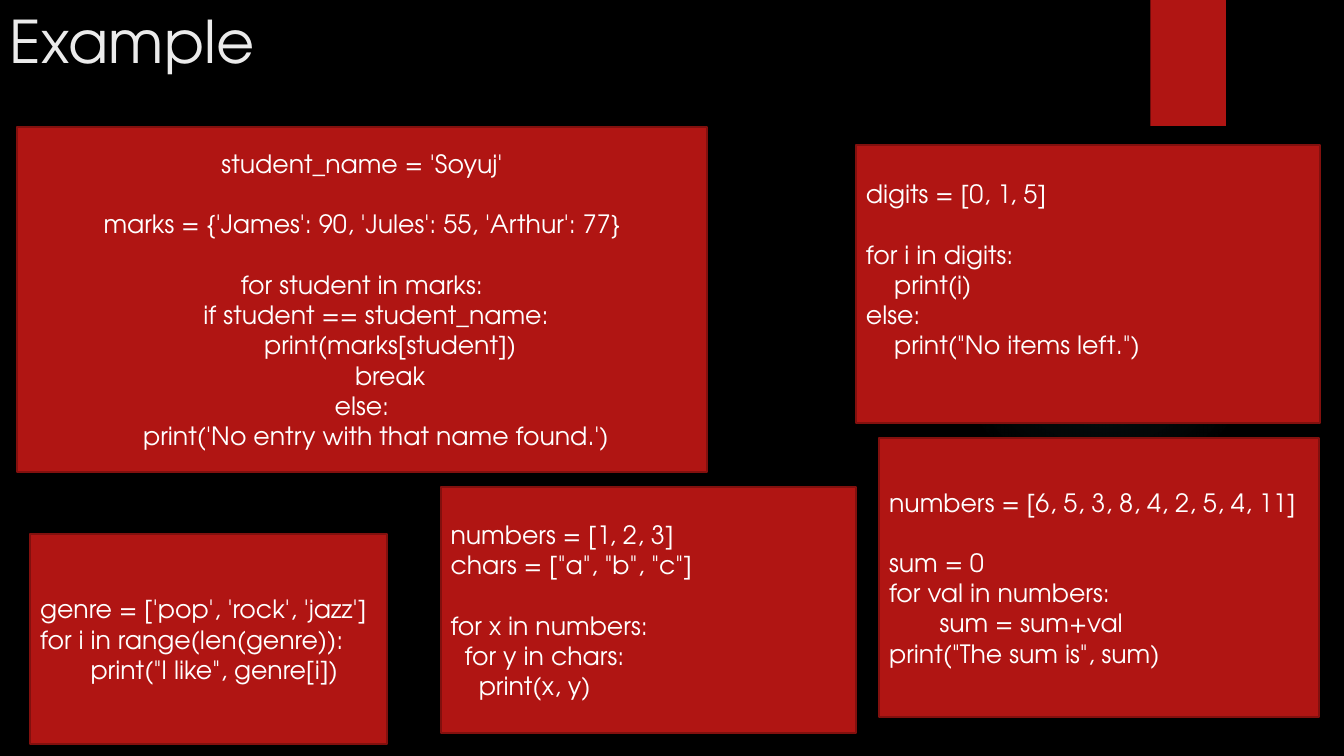
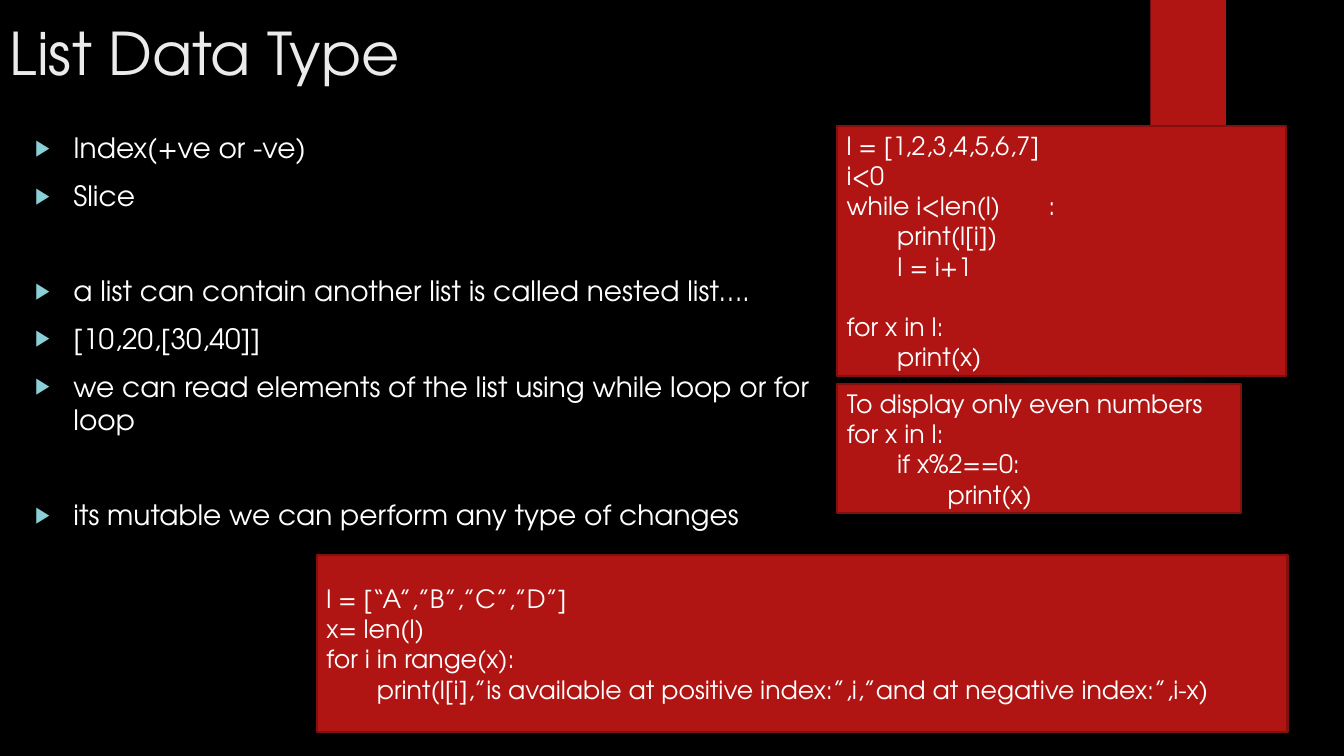
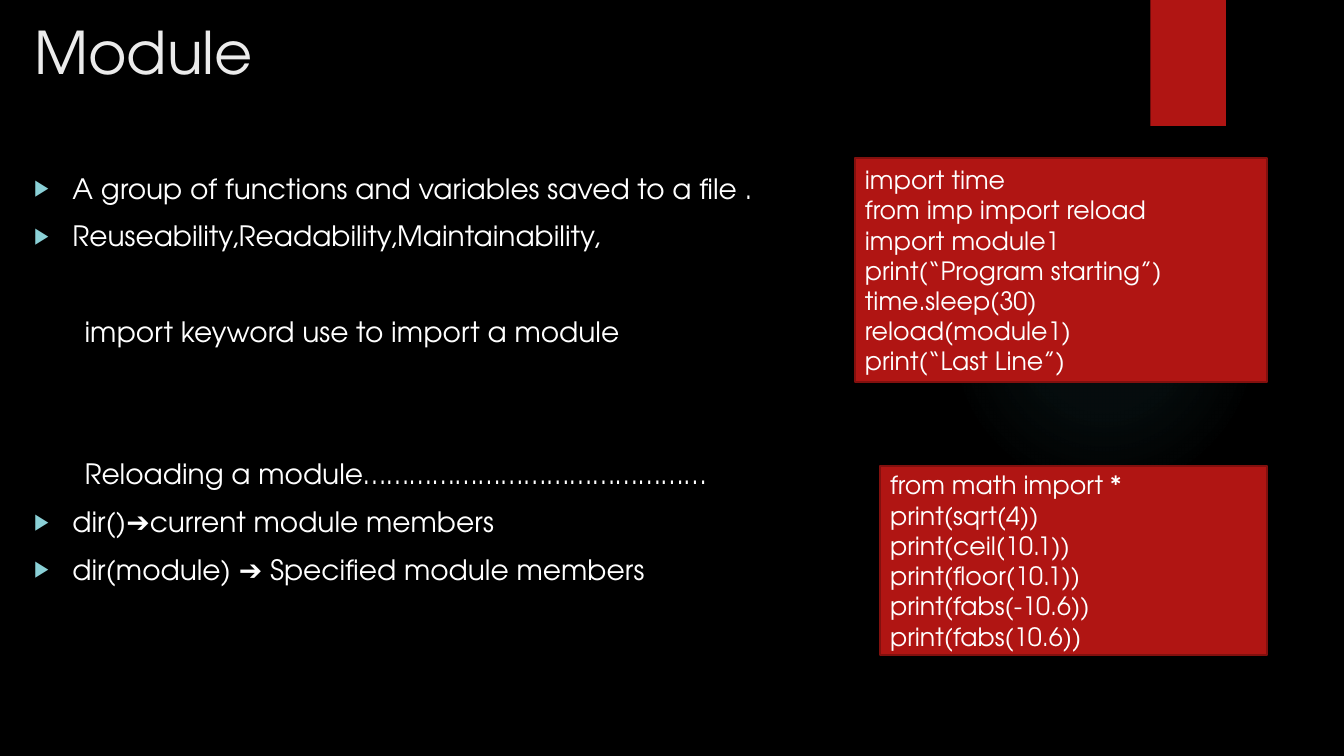
from lxml.etree import SubElement
from pptx import Presentation
from pptx.dml.color import RGBColor
from pptx.enum.shapes import MSO_SHAPE
from pptx.enum.text import MSO_ANCHOR, PP_ALIGN
from pptx.oxml import parse_xml
from pptx.oxml.ns import nsdecls, qn
from pptx.util import Inches, Pt

FONT = "TeX Gyre Adventor"
BLACK = RGBColor(0x00, 0x00, 0x00)
WHITE = RGBColor(0xFF, 0xFF, 0xFF)
TITLE_GREY = RGBColor(0xEB, 0xEB, 0xEB)
RED = RGBColor(0xB0, 0x15, 0x13)
DARK_RED = RGBColor(0x82, 0x10, 0x0E)
TEAL = RGBColor(0x50, 0xB9, 0xC1)
BULLET_TEAL = RGBColor(0x8A, 0xD0, 0xD6)

TITLE_SIZE, BODY_SIZE, CODE_SIZE = 42, 20, 18
LINE_PITCH = 1.2
TAB_WIDTH, SPACE_WIDTH = 0.5, 0.07
BULLET_INDENT = 0.38
BODY_GAP = 10
GLOW_STOPS = [(0, 7), (36, 6), (69, 0)]


def add_run(p, text, size, color):
    """Add one run in the deck's font."""
    r = p.add_run()
    r.text = text
    r.font.name = FONT
    r.font.size = Pt(size)
    r.font.color.rgb = color


def set_bullet(p):
    """Give a paragraph the teal triangle bullet and a hanging indent."""
    pPr = p._p.get_or_add_pPr()
    pPr.set("marL", str(Inches(BULLET_INDENT)))
    pPr.set("indent", str(-Inches(BULLET_INDENT)))
    color = SubElement(pPr, qn("a:buClr"))
    SubElement(color, qn("a:srgbClr"), val=str(BULLET_TEAL))
    SubElement(pPr, qn("a:buSzPct"), val="80000")
    SubElement(pPr, qn("a:buFont"), typeface="Arial")
    SubElement(pPr, qn("a:buChar"), char="▶")


def write_lines(tf, lines, size, gap=0, bullets=False, align=PP_ALIGN.LEFT):
    """Write lines, turning leading blanks into indents and empty lines into spacing."""
    tf.word_wrap = True
    p, skipped = tf.paragraphs[0], 0
    for i, line in enumerate(lines):
        if not line:
            skipped += 1
            continue
        if i:
            p = tf.add_paragraph()
        text = line.lstrip()
        lead = line[:len(line) - len(text)]
        p.alignment = align
        p.space_before = Pt(gap + skipped * (size * LINE_PITCH + gap))
        if bullets and not lead:
            set_bullet(p)
        elif lead:
            indent = lead.count("\t") * TAB_WIDTH + lead.count(" ") * SPACE_WIDTH
            p._p.get_or_add_pPr().set("marL", str(Inches(indent)))
        add_run(p, text, size, WHITE)
        skipped = 0
    tf.margin_bottom = Inches(0.05) + Pt(skipped * size * LINE_PITCH)


def add_filled(s, preset, box):
    """Add a plain red preset shape without line or shadow."""
    sp = s.shapes.add_shape(preset, *map(Inches, box))
    sp.shadow.inherit = False
    sp.fill.solid()
    sp.fill.fore_color.rgb = RED
    sp.line.fill.background()
    return sp


def add_glow(s, box):
    """Add a faint round teal glow."""
    sp = add_filled(s, MSO_SHAPE.OVAL, box)
    stops = "".join(
        f'<a:gs pos="{pos * 1000}"><a:srgbClr val="{TEAL}">'
        f'<a:alpha val="{alpha * 1000}"/></a:srgbClr></a:gs>'
        for pos, alpha in GLOW_STOPS)
    grad = parse_xml(
        f'<a:gradFill {nsdecls("a")}><a:gsLst>{stops}</a:gsLst><a:path path="circle">'
        '<a:fillToRect l="50000" t="50000" r="50000" b="50000"/></a:path></a:gradFill>')
    spPr = sp._element.spPr
    spPr.replace(spPr.find(qn("a:solidFill")), grad)


def add_title(s, text, box):
    """Add the slide title."""
    tf = s.shapes.add_textbox(*map(Inches, box)).text_frame
    tf.word_wrap = True
    add_run(tf.paragraphs[0], text, TITLE_SIZE, TITLE_GREY)


def add_body(s, lines, box):
    """Add the bulleted body text."""
    tf = s.shapes.add_textbox(*map(Inches, box)).text_frame
    write_lines(tf, lines, BODY_SIZE, BODY_GAP, bullets=True)


def add_code(s, lines, box, align=PP_ALIGN.LEFT):
    """Add a red panel of code."""
    sp = add_filled(s, MSO_SHAPE.RECTANGLE, box)
    sp.line.color.rgb = DARK_RED
    sp.line.width = Pt(1.5)
    sp.text_frame.vertical_anchor = MSO_ANCHOR.MIDDLE
    write_lines(sp.text_frame, lines, CODE_SIZE, align=align)


def new_slide(prs, title, title_box):
    """Start a slide with the shared glow, red tab and title."""
    s = prs.slides.add_slide(prs.slide_layouts[6])
    add_glow(s, (9.41, 1.83, 3.08, 3.08))
    add_filled(s, MSO_SHAPE.RECTANGLE, (11.41, 0, 0.75, 1.25))
    add_title(s, title, title_box)
    return s


def build_example(prs):
    """Build the slide of loop examples."""
    s = new_slide(prs, "Example", (0, 0, 10.29, 1.53))
    add_code(s, [
        "numbers = [6, 5, 3, 8, 4, 2, 5, 4, 11]",
        "",
        "sum = 0",
        "for val in numbers:",
        "\tsum = sum+val",
        'print("The sum is", sum)',
    ], (8.72, 4.35, 4.36, 2.76))
    add_code(s, [
        "genre = ['pop', 'rock', 'jazz']",
        "for i in range(len(genre)):",
        '\tprint("I like", genre[i])',
    ], (0.3, 5.3, 3.54, 2.08))
    add_code(s, [
        "digits = [0, 1, 5]",
        "",
        "for i in digits:",
        "    print(i)",
        "else:",
        '    print("No items left.")',
        "",
    ], (8.49, 1.44, 4.6, 2.76))
    add_code(s, [
        "student_name = 'Soyuj'",
        "",
        "marks = {'James': 90, 'Jules': 55, 'Arthur': 77}",
        "",
        "for student in marks:",
        "    if student == student_name:",
        "        print(marks[student])",
        "        break",
        "else:",
        "    print('No entry with that name found.')",
    ], (0.17, 1.26, 6.84, 3.42), PP_ALIGN.CENTER)
    add_code(s, [
        "numbers = [1, 2, 3]",
        'chars = ["a", "b", "c"]',
        "",
        "for x in numbers:",
        "  for y in chars:",
        "    print(x, y)",
    ], (4.37, 4.83, 4.12, 2.44))


def build_list_type(prs):
    """Build the slide on the list data type."""
    s = new_slide(prs, "List Data Type", (0, 0.12, 10.29, 1.53))
    add_body(s, [
        "Index(+ve or -ve)",
        "Slice",
        "",
        "a list can contain another list is called nested list….",
        "[10,20,[30,40]]",
        "we can read elements of the list using while loop or for loop",
        "",
        "its mutable we can perform any type of changes",
    ], (0.25, 1.25, 8.39, 6.01))
    add_code(s, [
        "l = [1,2,3,4,5,6,7]",
        "i<0",
        "while i<len(l)\t:",
        "\tprint(l[i])",
        "\tI = i+1",
        "",
        "for x in l:",
        "\tprint(x)",
    ], (8.3, 1.25, 4.46, 2.48))
    add_code(s, [
        "To display only even numbers",
        "for x in l:",
        "\tif x%2==0:",
        "\t\tprint(x)",
    ], (8.3, 3.81, 4.01, 1.28))
    add_code(s, [
        "l = [“A”,”B”,”C”,”D”]",
        "x= len(l)",
        "for i in range(x):",
        "\tprint(l[i],”is available at positive index:”,i,”and at negative index:”,i-x)",
    ], (3.14, 5.51, 9.63, 1.75))


def build_module(prs):
    """Build the slide on modules."""
    s = new_slide(prs, "Module", (0.24, 0.11, 10.29, 0.92))
    add_body(s, [
        "A group of functions and variables saved to a file .",
        "Reuseability,Readability,Maintainability,",
        "",
        "\timport keyword use to import a module",
        "",
        "",
        "\tReloading a module………………………………………",
        "dir()➔current module members",
        "dir(module) ➔ Specified module members",
    ], (0.24, 1.65, 12.73, 5.68))
    add_code(s, [
        "import time",
        "from imp import reload",
        "import module1",
        "print(“Program starting”)",
        "time.sleep(30)",
        "reload(module1)",
        "print(“Last Line”)",
    ], (8.48, 1.57, 4.09, 2.22))
    add_code(s, [
        "from math import *",
        "print(sqrt(4))",
        "print(ceil(10.1))",
        "print(floor(10.1))",
        "print(fabs(-10.6))",
        "print(fabs(10.6))",
    ], (8.73, 4.62, 3.84, 1.88))


def main():
    """Build and save the deck."""
    prs = Presentation()
    prs.slide_width, prs.slide_height = Inches(13.33), Inches(7.5)
    background = prs.slide_master.background.fill
    background.solid()
    background.fore_color.rgb = BLACK
    for build in (build_example, build_list_type, build_module):
        build(prs)
    prs.save("out.pptx")


if __name__ == "__main__":
    main()
